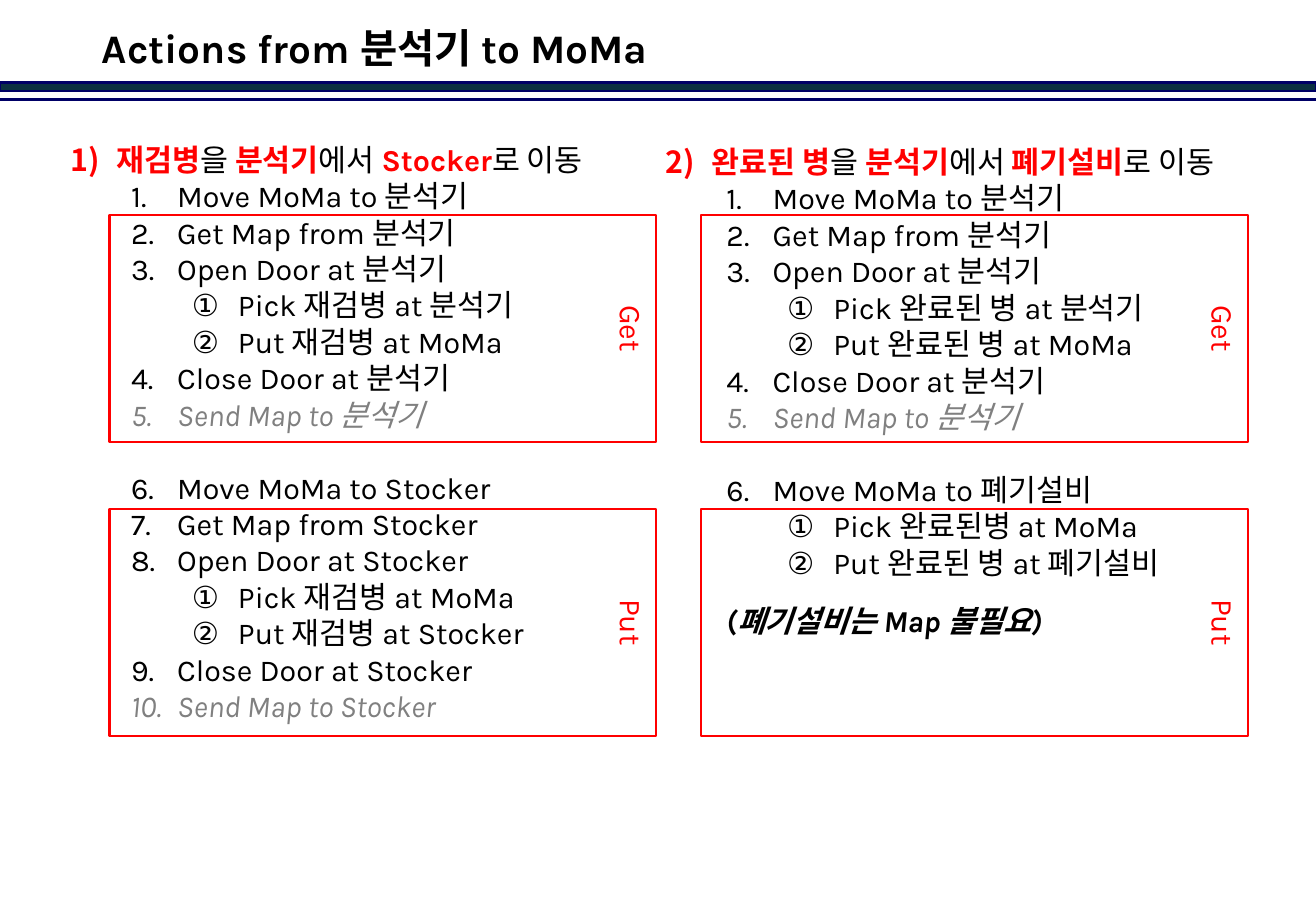
from dataclasses import dataclass

from pptx import Presentation
from pptx import util as u
from pptx.dml.color import RGBColor
from pptx.enum import shapes, text
from pptx.oxml.ns import qn
from lxml import etree


@dataclass(frozen=True)
class Theme:
    """Colours, font and sizes of the slide."""
    font: str = "Karla"
    ink: str = "000000"
    accent: str = "FF0000"
    muted: str = "808080"
    band: str = "0B3041"
    rule: str = "000066"
    title_size: float = 24
    body_size: float = 18
    line_width: float = 1.5
    section_gap: float = 21.6


THEME = Theme()
NUMBERING = ("arabicParenR", "arabicPeriod", "circleNumDbPlain")
PHASE_TOPS = {"Get": 1.77, "Put": 4.19}

STOCKER_HEADING = [("재검병", True), ("을 ", False), ("분석기", True),
                   ("에서 ", False), ("Stocker", True), ("로 이동", False)]
DISPOSAL_HEADING = [("완료된 병", True), ("을 ", False), ("분석기", True),
                    ("에서 ", False), ("폐기설비", True), ("로 이동", False)]


def get_steps(bottle):
    """List the steps that fetch a bottle from the analyser."""
    return [(1, "Move MoMa to 분석기"), (1, "Get Map from 분석기"),
            (1, "Open Door at 분석기"), (2, f"Pick {bottle} at 분석기"),
            (2, f"Put {bottle} at MoMa"), (1, "Close Door at 분석기"),
            (1, "Send Map to 분석기")]


STOCKER_STEPS = [(1, "Move MoMa to Stocker"), (1, "Get Map from Stocker"),
                 (1, "Open Door at Stocker"), (2, "Pick 재검병 at MoMa"),
                 (2, "Put 재검병 at Stocker"), (1, "Close Door at Stocker"),
                 (1, "Send Map to Stocker")]
DISPOSAL_STEPS = [(1, "Move MoMa to 폐기설비"), (2, "Pick 완료된병 at MoMa"),
                  (2, "Put 완료된 병 at 폐기설비")]


def inches(box):
    """Turn a box of numbers into lengths."""
    return [u.Inches(side) for side in box]


def style(run, color=THEME.ink, size=THEME.body_size, bold=False, italic=False):
    """Format one run."""
    font = run.font
    font.name, font.size = THEME.font, u.Pt(size)
    font.bold, font.italic = bold, italic
    font.color.rgb = RGBColor.from_string(color)


def outline(line, color):
    """Give a line its colour and width."""
    line.color.rgb = RGBColor.from_string(color)
    line.width = u.Pt(THEME.line_width)


def number(paragraph, level, start=1):
    """Number a paragraph with a hanging indent for its level."""
    paragraph.level = level
    props = paragraph._p.get_or_add_pPr()
    props.set("marL", str(u.Inches(0.38 + 0.5 * level)))
    props.set("indent", str(u.Inches(-0.38)))
    bullet = etree.SubElement(props, qn("a:buAutoNum"), type=NUMBERING[level])
    if start > 1:
        bullet.set("startAt", str(start))


def add_header(slide, box):
    """Draw the title above a band and a thin rule."""
    left, top, width, height = box
    band = slide.shapes.add_shape(shapes.MSO_SHAPE.RECTANGLE,
                                  *inches((left, top + 0.68, width, 0.07)))
    band.shadow.inherit = False
    band.fill.solid()
    band.fill.fore_color.rgb = RGBColor.from_string(THEME.band)
    outline(band.line, THEME.rule)
    rule = slide.shapes.add_connector(
        shapes.MSO_CONNECTOR.STRAIGHT,
        *inches((left, top + height, left + width, top + height)))
    outline(rule.line, THEME.rule)
    etree.SubElement(rule._element.spPr, qn("a:effectLst"))
    title = slide.shapes.add_textbox(*inches((left + 0.74, top + 0.15, 6.67, 0.53)))
    frame = title.text_frame
    frame.word_wrap = True
    frame.vertical_anchor = text.MSO_ANCHOR.MIDDLE
    frame.text = "Actions from 분석기 to MoMa"
    frame.paragraphs[0].line_spacing = 0.9
    style(frame.paragraphs[0].runs[0], size=THEME.title_size, bold=True)


def add_procedure(slide, box, order, heading, fetch, deliver):
    """Write one numbered heading with its fetching and delivering steps."""
    frame = slide.shapes.add_textbox(*inches(box)).text_frame
    frame.word_wrap = True
    first = frame.paragraphs[0]
    number(first, 0, order)
    for words, key in heading:
        run = first.add_run()
        run.text = words
        style(run, THEME.accent if key else THEME.ink, bold=key)
    for index, (level, words) in enumerate(fetch + deliver):
        step = frame.add_paragraph()
        step.text = words
        if index == len(fetch):
            step.space_before = u.Pt(THEME.section_gap)
        number(step, level)
        optional = words.startswith("Send")
        style(step.runs[0], THEME.muted if optional else THEME.ink, italic=optional)


def add_phase(slide, box, label):
    """Frame a group of steps and label it sideways at the right edge."""
    phase = slide.shapes.add_shape(shapes.MSO_SHAPE.RECTANGLE, *inches(box))
    phase.shadow.inherit = False
    phase.fill.background()
    outline(phase.line, THEME.accent)
    frame = phase.text_frame
    frame.word_wrap = False
    frame.vertical_anchor = text.MSO_ANCHOR.TOP
    frame._txBody.bodyPr.set("vert", "vert")
    frame.text = label
    frame.paragraphs[0].alignment = text.PP_ALIGN.CENTER
    style(frame.paragraphs[0].runs[0], THEME.accent)


def add_remark(slide, box):
    """Write the remark on the disposal unit."""
    frame = slide.shapes.add_textbox(*inches(box)).text_frame
    frame.word_wrap = True
    frame.text = "(폐기설비는 Map 불필요)"
    frame.paragraphs[0].alignment = text.PP_ALIGN.CENTER
    style(frame.paragraphs[0].runs[0], bold=True, italic=True)


def main():
    """Build and save the slide."""
    deck = Presentation()
    deck.slide_width, deck.slide_height = u.Inches(10.83), u.Inches(7.5)
    slide = deck.slides.add_slide(deck.slide_layouts[6])
    add_header(slide, (0, 0, 10.83, 0.82))
    add_procedure(slide, (0.48, 1.11, 4.65, 4.95), 1, STOCKER_HEADING,
                  get_steps("재검병"), STOCKER_STEPS)
    add_procedure(slide, (5.38, 1.13, 5.08, 3.74), 2, DISPOSAL_HEADING,
                  get_steps("완료된 병"), DISPOSAL_STEPS)
    add_remark(slide, (5.8, 4.91, 2.95, 0.4))
    for label, top in PHASE_TOPS.items():
        for left in (0.9, 5.77):
            add_phase(slide, (left, top, 4.5, 1.87), label)
    deck.save("out.pptx")


if __name__ == "__main__":
    main()
